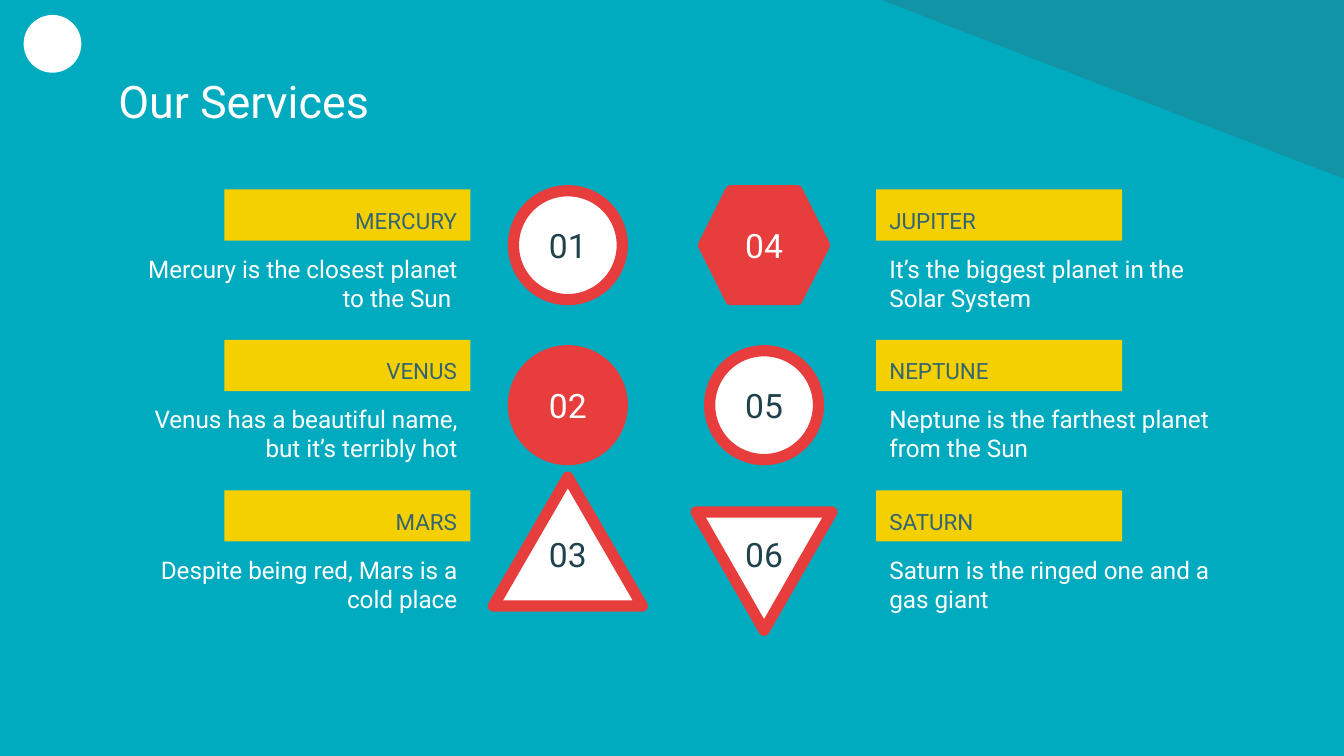
import pptx
import pptx.dml.color
import pptx.enum.shapes
import pptx.enum.text
import pptx.util
from lxml import etree
from pptx.oxml.ns import qn

Pt = pptx.util.Pt
KIND = pptx.enum.shapes.MSO_SHAPE
ALIGN = pptx.enum.text.PP_ALIGN
ANCHOR = pptx.enum.text.MSO_ANCHOR

TEAL, SLATE, DARK = "00ABBF", "336574", "1F424C"
RED, GOLD, WHITE = "E83D3D", "F4D000", "FFFFFF"

BAR_W, BAR_H = 131.8, 27.4
TEXT_W, TEXT_H = 186.5, 53.3
TOP, STEP = 101.5, 80.6
LEFT_END, RIGHT_START = 252, 469.4
LEFT_MID, RIGHT_MID = 304.2, 409.3
LABEL_W, LABEL_H = 87.1, 51.1
LABEL_TOPS = [105.8, 191.5, 271.4]

LEFT = [
    ("MERCURY", "Mercury is the closest planet to the Sun "),
    ("VENUS", "Venus has a beautiful name, but it’s terribly hot"),
    ("MARS", "Despite being red, Mars is a cold place"),
]
RIGHT = [
    ("JUPITER", "It’s the biggest planet in the Solar System"),
    ("NEPTUNE", "Neptune is the farthest planet from the Sun"),
    ("SATURN", "Saturn is the ringed one and a gas giant"),
]
# kind, top, width, height, fill, turn
LEFT_SIGNS = [
    (KIND.OVAL, 102.2, 58.3, 58.3, WHITE, 0),
    (KIND.OVAL, 187.9, 58.3, 58.3, RED, 0),
    (KIND.ISOSCELES_TRIANGLE, 255.6, 79.9, 69.1, WHITE, 0),
]
RIGHT_SIGNS = [
    (KIND.HEXAGON, 102.2, 64.8, 58.3, RED, 0),
    (KIND.OVAL, 187.9, 58.3, 58.3, WHITE, 0),
    (KIND.ISOSCELES_TRIANGLE, 274.3, 72.7, 63.4, WHITE, 180),
]


def paint(target, color):
    """Give a fill a solid colour."""
    target.solid()
    target.fore_color.rgb = pptx.dml.color.RGBColor.from_string(color)


def add_shape(slide, kind, box, fill, line=None, width=0, turn=0):
    """Add a flat preset shape."""
    shape = slide.shapes.add_shape(kind, *map(Pt, box))
    shape.shadow.inherit = False
    shape.rotation = turn
    paint(shape.fill, fill)
    if line:
        paint(shape.line.fill, line)
        shape.line.width = Pt(width)
        etree.SubElement(shape.line._get_or_add_ln(), qn("a:round"))
    else:
        shape.line.fill.background()
    return shape


def set_text(shape, text, size, color, align=ALIGN.LEFT, anchor=ANCHOR.TOP):
    """Write one formatted paragraph into a shape."""
    frame = shape.text_frame
    frame.word_wrap = True
    frame.auto_size = pptx.enum.text.MSO_AUTO_SIZE.NONE
    frame.vertical_anchor = anchor
    frame.margin_left = frame.margin_right = Pt(7.2)
    frame.margin_top = frame.margin_bottom = Pt(7.2)
    frame.text = text
    para = frame.paragraphs[0]
    para.alignment = align
    para.font.name = "Roboto"
    para.font.size = Pt(size)
    paint(para.font.fill, color)
    return para


def add_text(slide, box, *style):
    """Add a text box with one paragraph."""
    set_text(slide.shapes.add_textbox(*map(Pt, box)), *style)


def add_title(slide, text):
    """Place and fill the title."""
    title = slide.shapes.title
    title.left, title.top = Pt(56.2), Pt(31)
    title.width, title.height = Pt(607.7), Pt(45.4)
    set_text(title, text, 24, WHITE, anchor=ANCHOR.MIDDLE)


def add_wedge(slide):
    """Add the translucent corner triangle."""
    box = (472.3, 0, 247.7, 95.8)
    wedge = add_shape(slide, KIND.RIGHT_TRIANGLE, box, SLATE, turn=180)
    tint = wedge.fill._xPr.find(".//" + qn("a:srgbClr"))
    etree.SubElement(tint, qn("a:alpha"), val="32000")


def add_items(slide, items, align):
    """Add a column of heading bars with texts below."""
    right = align == ALIGN.RIGHT
    for row, (name, text) in enumerate(items):
        top = TOP + row * STEP
        bar_x = LEFT_END - BAR_W if right else RIGHT_START
        text_x = LEFT_END - TEXT_W if right else RIGHT_START
        bar = add_shape(slide, KIND.RECTANGLE, (bar_x, top, BAR_W, BAR_H), GOLD)
        para = set_text(bar, name, 12, SLATE, align)
        para.line_spacing = 1.15
        para.space_after = Pt(16)
        box = (text_x, top + BAR_H, TEXT_W, TEXT_H)
        add_text(slide, box, text, 13, WHITE, align)


def add_signs(slide, signs, mid, first):
    """Add a column of numbered signs centred on mid."""
    for row, (kind, top, width, height, fill, turn) in enumerate(signs):
        box = (mid - width / 2, top, width, height)
        add_shape(slide, kind, box, fill, RED, 6, turn)
        color = WHITE if fill == RED else DARK
        label = (mid - LABEL_W / 2, LABEL_TOPS[row], LABEL_W, LABEL_H)
        add_text(slide, label, f"{first + row:02}", 18, color,
                 ALIGN.CENTER, ANCHOR.MIDDLE)


def main():
    """Build and save the slide."""
    deck = pptx.Presentation()
    deck.slide_width, deck.slide_height = Pt(720), Pt(405)
    slide = deck.slides.add_slide(deck.slide_layouts[5])
    paint(slide.background.fill, TEAL)
    add_wedge(slide)
    add_shape(slide, KIND.OVAL, (13, 8.4, 30.2, 30.2), WHITE, WHITE, 0.75)
    add_title(slide, "Our Services")
    add_items(slide, LEFT, ALIGN.RIGHT)
    add_items(slide, RIGHT, ALIGN.LEFT)
    add_signs(slide, LEFT_SIGNS, LEFT_MID, 1)
    add_signs(slide, RIGHT_SIGNS, RIGHT_MID, 4)
    deck.save("out.pptx")


if __name__ == "__main__":
    main()
